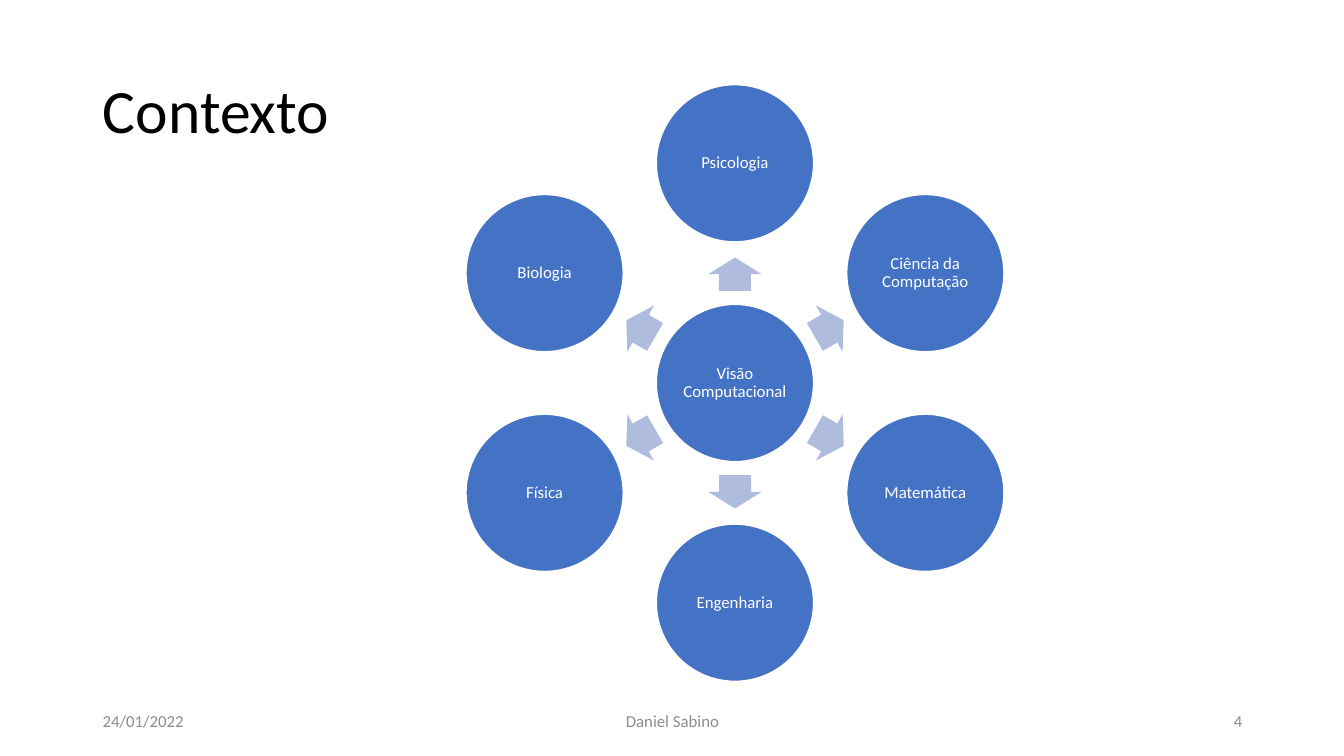
from dataclasses import dataclass
from math import cos, radians, sin

from pptx import Presentation
from pptx.dml.color import RGBColor as Rgb
from pptx.enum.shapes import MSO_SHAPE as Shape
from pptx.enum.text import MSO_ANCHOR as Anchor, PP_ALIGN as Align
from pptx.util import Inches, Pt


@dataclass(frozen=True)
class Theme:
    face: str = "Calibri"
    ink: Rgb = Rgb(0x00, 0x00, 0x00)
    white: Rgb = Rgb(0xFF, 0xFF, 0xFF)
    blue: Rgb = Rgb(0x44, 0x72, 0xC4)
    pale: Rgb = Rgb(0xB0, 0xBC, 0xDE)
    gray: Rgb = Rgb(0x8C, 0x8C, 0x8C)
    head: int = 44
    body: int = 12


THEME = Theme()
HUB = (7.29, 3.8)
DISC = 1.56
ORBIT = 2.18
REACH = 1.08
FIELDS = ["Psicologia", "Ciência da Computação", "Matemática",
          "Engenharia", "Física", "Biologia"]
FOOTER = [("24/01/2022", 0.92, 3, Align.LEFT),
          ("Daniel Sabino", 4.42, 4.5, Align.CENTER),
          ("4", 9.42, 3, Align.RIGHT)]


def write(shape, text, size, color, align, space=1.0):
    frame = shape.text_frame
    frame.word_wrap = True
    frame.vertical_anchor = Anchor.MIDDLE
    para = frame.paragraphs[0]
    para.text = text
    para.alignment = align
    para.line_spacing = space
    font = para.font
    font.name = THEME.face
    font.size = Pt(size)
    font.color.rgb = color


def place(slide, kind, center, width, height, fill):
    x, y = center
    shape = slide.shapes.add_shape(
        kind, Inches(x - width / 2), Inches(y - height / 2),
        Inches(width), Inches(height))
    shape.shadow.inherit = False
    shape.fill.solid()
    shape.fill.fore_color.rgb = fill
    return shape


def polar(angle, reach):
    turn = radians(angle)
    return HUB[0] + reach * cos(turn), HUB[1] + reach * sin(turn)


def add_disc(slide, text, center):
    disc = place(slide, Shape.OVAL, center, DISC, DISC, THEME.blue)
    disc.line.color.rgb = THEME.white
    disc.line.width = Pt(1)
    frame = disc.text_frame
    frame.margin_left = frame.margin_right = Inches(0.02)
    frame.margin_top = frame.margin_bottom = Inches(0.02)
    write(disc, text, THEME.body, THEME.white, Align.CENTER, 0.9)


def add_arrow(slide, angle):
    arrow = place(slide, Shape.RIGHT_ARROW, polar(angle, REACH),
                  0.33, 0.53, THEME.pale)
    arrow.adjustments[0] = 0.6
    arrow.adjustments[1] = 0.5
    arrow.rotation = angle % 360
    arrow.line.fill.background()


def add_wheel(slide):
    add_disc(slide, "Visão Computacional", HUB)
    step = 360 / len(FIELDS)
    for i, field in enumerate(FIELDS):
        angle = i * step - 90
        add_arrow(slide, angle)
        add_disc(slide, field, polar(angle, ORBIT))


def add_title(slide, text):
    title = slide.shapes.title
    title.left, title.top = Inches(0.92), Inches(0.4)
    title.width, title.height = Inches(11.5), Inches(1.45)
    write(title, text, THEME.head, THEME.ink, Align.LEFT, 0.9)


def add_footer(slide):
    for text, left, width, align in FOOTER:
        box = slide.shapes.add_textbox(
            Inches(left), Inches(6.95), Inches(width), Inches(0.4))
        write(box, text, THEME.body, THEME.gray, align)


def main():
    deck = Presentation()
    deck.slide_width, deck.slide_height = Inches(13.33), Inches(7.5)
    slide = deck.slides.add_slide(deck.slide_layouts.get_by_name("Title Only"))
    add_title(slide, "Contexto")
    add_wheel(slide)
    add_footer(slide)
    deck.save("out.pptx")


if __name__ == "__main__":
    main()
